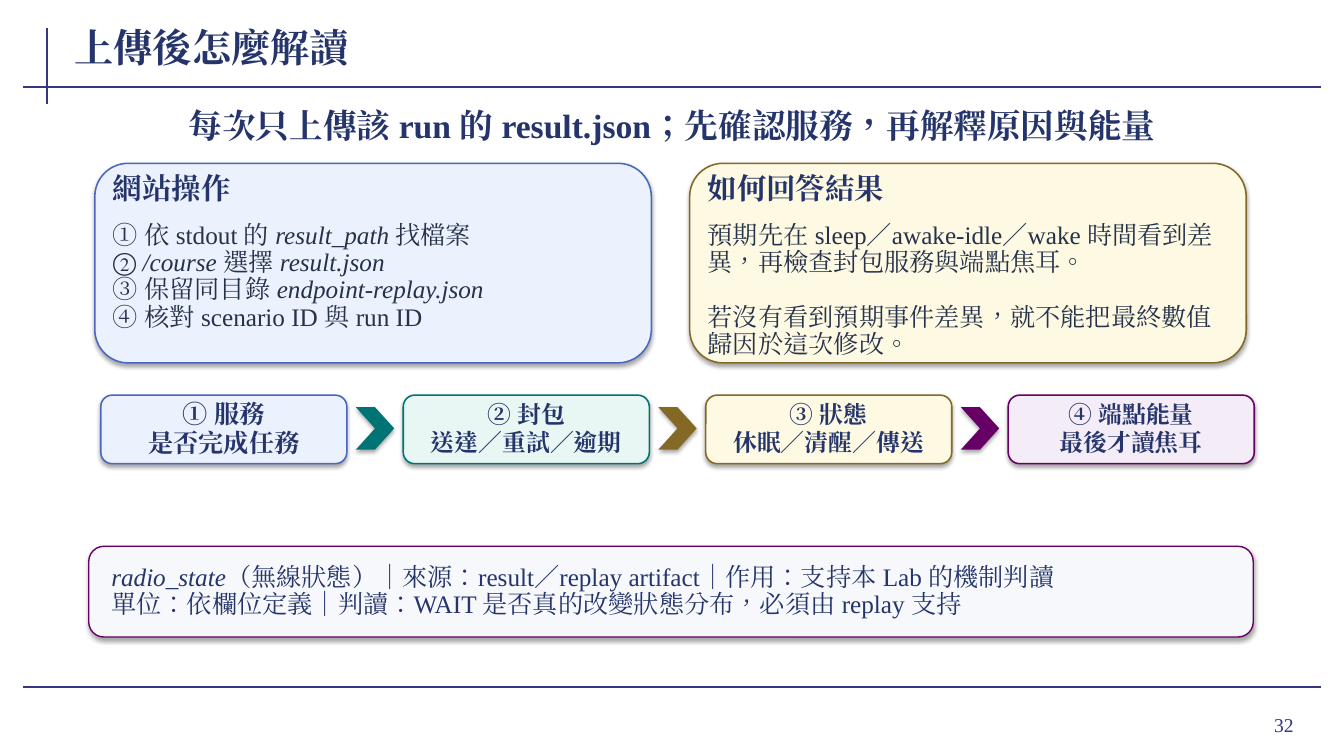
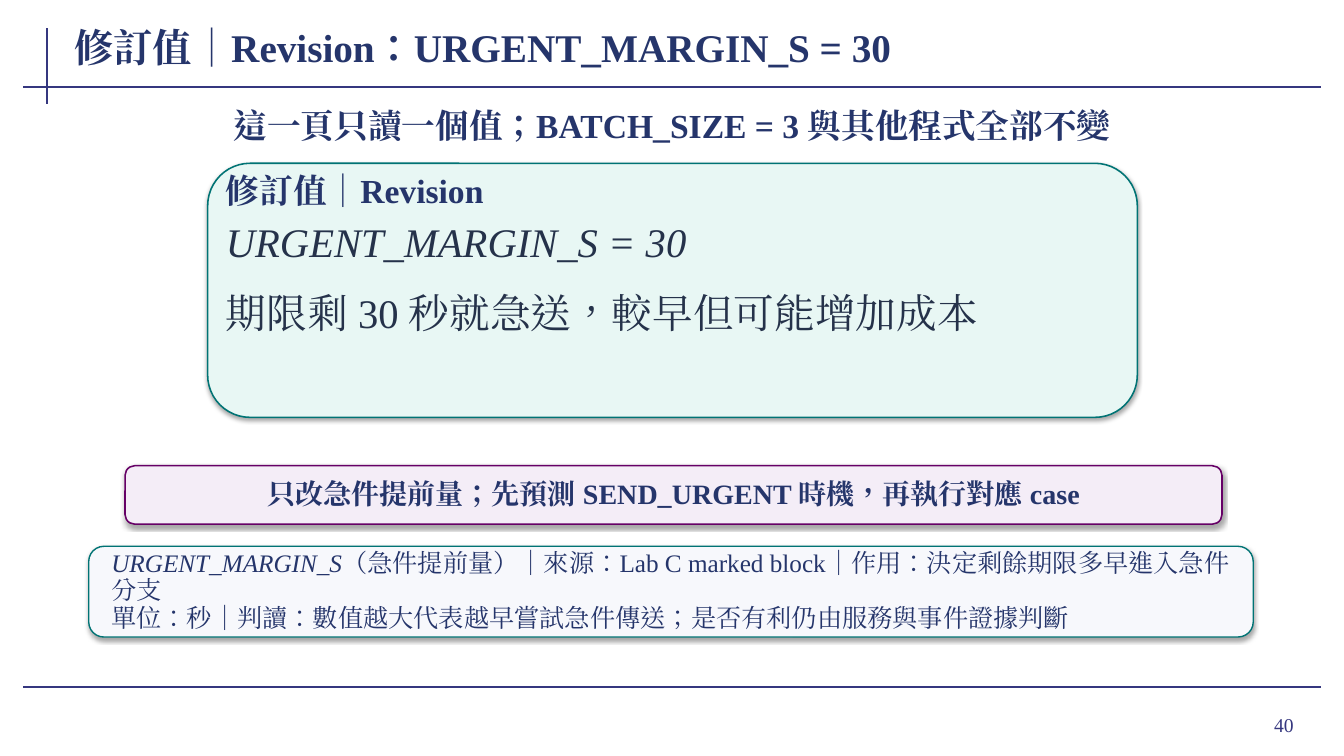
from lxml import etree
from pptx import Presentation
from pptx import util as u
from pptx.dml.color import RGBColor
from pptx.enum import lang, shapes, text
from pptx.oxml.ns import qn

Inches, Pt = u.Inches, u.Pt
SHAPE = shapes.MSO_SHAPE
ALIGN = text.PP_ALIGN
ANCHOR = text.MSO_ANCHOR
FONT = "Times New Roman"

COLORS = {
    "rule": "35377F", "heading": "25356B", "body": "25324A", "note": "F7F8FC",
    "blue": "4967C2", "blue_bg": "ECF1FE", "teal": "007374", "teal_bg": "E8F7F4",
    "gold": "846826", "gold_bg": "FDF9E2", "purple": "660066", "purple_bg": "F4EDF7",
}

RULES = [(0.47, 0.28, 0.47, 1.03), (0.23, 0.86, 13.1, 0.86), (0.23, 6.82, 13.1, 6.82)]
TITLE_BOX = (0.72, 0.2, 10.35, 0.53)
NUMBER_BOX = (11.96, 6.93, 0.97, 0.52)
LEAD_BOX = (0.94, 0.98, 11.45, 0.52)
NOTE_BOX = (0.88, 5.42, 11.55, 0.9)

# Text between asterisks is set in italics.
SLIDES = [
    {
        "number": 32,
        "title": "上傳後怎麼解讀",
        "lead": "每次只上傳該 run 的 result.json；先確認服務，再解釋原因與能量",
        "cards": [
            {"box": (0.94, 1.62, 5.52, 1.98), "color": "blue", "head": "網站操作",
             "lines": ["① 依 stdout 的 *result_path* 找檔案",
                       "② */course* 選擇 *result.json*",
                       "③ 保留同目錄 *endpoint-replay.json*",
                       "④ 核對 scenario ID 與 run ID"],
             "sizes": (21, 18), "gap": 0},
            {"box": (6.84, 1.62, 5.52, 1.98), "color": "gold", "head": "如何回答結果",
             "lines": ["預期先在 sleep／awake-idle／wake 時間看到差異，再檢查封包服務與端點焦耳。",
                       "若沒有看到預期事件差異，就不能把最終數值歸因於這次修改。"],
             "sizes": (21, 18), "gap": 19.5},
        ],
        "steps": [
            ("blue", 18, ["① 服務", "是否完成任務"]),
            ("teal", 17, ["② 封包", "送達／重試／逾期"]),
            ("gold", 17, ["③ 狀態", "休眠／清醒／傳送"]),
            ("purple", 17, ["④ 端點能量", "最後才讀焦耳"]),
        ],
        "note": ("purple", [
            "*radio_state*（無線狀態）｜來源：result／replay artifact｜作用：支持本 Lab 的機制判讀",
            "單位：依欄位定義｜判讀：WAIT 是否真的改變狀態分布，必須由 replay 支持"]),
    },
    {
        "number": 40,
        "title": "修訂值｜Revision：URGENT_MARGIN_S = 30",
        "lead": "這一頁只讀一個值；BATCH_SIZE = 3 與其他程式全部不變",
        "cards": [
            {"box": (2.06, 1.62, 9.22, 2.52), "color": "teal", "head": "修訂值｜Revision",
             "lines": ["*URGENT_MARGIN_S = 30*", "期限剩 30 秒就急送，較早但可能增加成本"],
             "sizes": (24, 29), "gap": 19.5},
        ],
        "banner": ((1.24, 4.62, 10.88, 0.58), "purple",
                   ["只改急件提前量；先預測 SEND_URGENT 時機，再執行對應 case"]),
        "note": ("teal", [
            "*URGENT_MARGIN_S*（急件提前量）｜來源：Lab C marked block｜作用：決定剩餘期限多早進入急件分支",
            "單位：秒｜判讀：數值越大代表越早嘗試急件傳送；是否有利仍由服務與事件證據判斷"]),
    },
]


def rgb(name):
    return RGBColor.from_string(COLORS[name])


def place(box):
    return [Inches(v) for v in box]


def write(sp, lines, size, color="heading", bold=False, align=ALIGN.LEFT,
          anchor=ANCHOR.MIDDLE, margins=(0.02, 0.01), spacing=None, gap=0):
    tf = sp.text_frame
    tf.word_wrap = True
    tf.auto_size = text.MSO_AUTO_SIZE.NONE
    tf.vertical_anchor = anchor
    tf.margin_left = tf.margin_right = Inches(margins[0])
    tf.margin_top = tf.margin_bottom = Inches(margins[1])
    for i, line in enumerate(lines):
        p = tf.add_paragraph() if i else tf.paragraphs[0]
        p.alignment = align
        p.line_spacing = spacing
        if i and gap:
            p.space_before = Pt(gap)
        for j, part in enumerate(line.split("*")):
            if not part:
                continue
            r = p.add_run()
            r.text = part
            f = r.font
            f.name, f.size, f.bold, f.italic = FONT, Pt(size), bold, j % 2 == 1
            f.color.rgb = rgb(color)
            f.language_id = lang.MSO_LANGUAGE_ID.TRADITIONAL_CHINESE
            ea = etree.SubElement(r._r.get_or_add_rPr(), qn("a:ea"))
            ea.set("typeface", FONT)


def add_text(s, box, lines, size, **fmt):
    write(s.shapes.add_textbox(*place(box)), lines, size, **fmt)


def add_panel(s, kind, box, fill, line=None, width=1.1):
    sp = s.shapes.add_shape(kind, *place(box))
    sp.fill.solid()
    sp.fill.fore_color.rgb = rgb(fill)
    if line:
        sp.line.color.rgb = rgb(line)
        sp.line.width = Pt(width)
    else:
        sp.line.fill.background()
    sp.shadow.inherit = False
    effects = sp._element.spPr.find(qn("a:effectLst"))
    shadow = etree.SubElement(effects, qn("a:outerShdw"), blurRad=str(Pt(3.1)),
                              dist=str(Pt(1.8)), dir="5400000", rotWithShape="0")
    black = etree.SubElement(shadow, qn("a:srgbClr"), val="000000")
    etree.SubElement(black, qn("a:alpha"), val="35000")
    return sp


def add_chip(s, box, color, lines, size):
    sp = add_panel(s, SHAPE.ROUNDED_RECTANGLE, box, color + "_bg", color)
    write(sp, lines, size, bold=True, align=ALIGN.CENTER, margins=(0.12, 0.04), spacing=0.95)


def add_card(s, card):
    x, y, w, h = card["box"]
    head_size, body_size = card["sizes"]
    add_panel(s, SHAPE.ROUNDED_RECTANGLE, card["box"], card["color"] + "_bg", card["color"])
    add_text(s, (x + 0.16, y + 0.1, w - 0.32, 0.46), [card["head"]], head_size,
             bold=True, anchor=ANCHOR.TOP, spacing=0.9)
    add_text(s, (x + 0.16, y + 0.58, w - 0.32, h - 0.66), card["lines"], body_size,
             color="body", anchor=ANCHOR.TOP, spacing=0.9, gap=card["gap"])


def add_steps(s, steps):
    for i, (color, size, lines) in enumerate(steps):
        x = 1 + 3 * i
        if i:
            add_panel(s, SHAPE.CHEVRON, (x - 0.47, 4.04, 0.38, 0.42), color)
        add_chip(s, (x, 3.92, 2.44, 0.68), color, lines, size)


def set_up_layout(layout, s):
    for ph in list(layout.placeholders)[1:]:
        ph._element.getparent().remove(ph._element)
    title = layout.placeholders[0]
    title.left, title.top, title.width, title.height = place(TITLE_BOX)
    for ends in RULES:
        c = s.shapes.add_connector(shapes.MSO_CONNECTOR.STRAIGHT, *place(ends))
        c.line.color.rgb = rgb("rule")
        c.line.width = Pt(1.5)
        etree.SubElement(c._element.spPr, qn("a:effectLst"))
        layout.shapes._spTree.append(c._element)


def fill_slide(s, data):
    write(s.shapes.title, [data["title"]], 28, bold=True, margins=(0.02, 0))
    add_text(s, NUMBER_BOX, [str(data["number"])], 14, color="rule",
             align=ALIGN.RIGHT, margins=(0.1, 0.05))
    add_text(s, LEAD_BOX, [data["lead"]], 24, bold=True, align=ALIGN.CENTER)
    for card in data["cards"]:
        add_card(s, card)
    add_steps(s, data.get("steps", []))
    if "banner" in data:
        add_chip(s, *data["banner"], 20)
    color, lines = data["note"]
    note = add_panel(s, SHAPE.ROUNDED_RECTANGLE, NOTE_BOX, "note", color, 1)
    write(note, lines, 18, margins=(0.18, 0.03), spacing=0.9)


def main():
    prs = Presentation()
    prs.slide_width, prs.slide_height = Inches(13.33), Inches(7.5)
    layout = prs.slide_layouts[5]
    for i, data in enumerate(SLIDES):
        s = prs.slides.add_slide(layout)
        if i == 0:
            set_up_layout(layout, s)
        fill_slide(s, data)
    prs.save("out.pptx")


if __name__ == "__main__":
    main()
